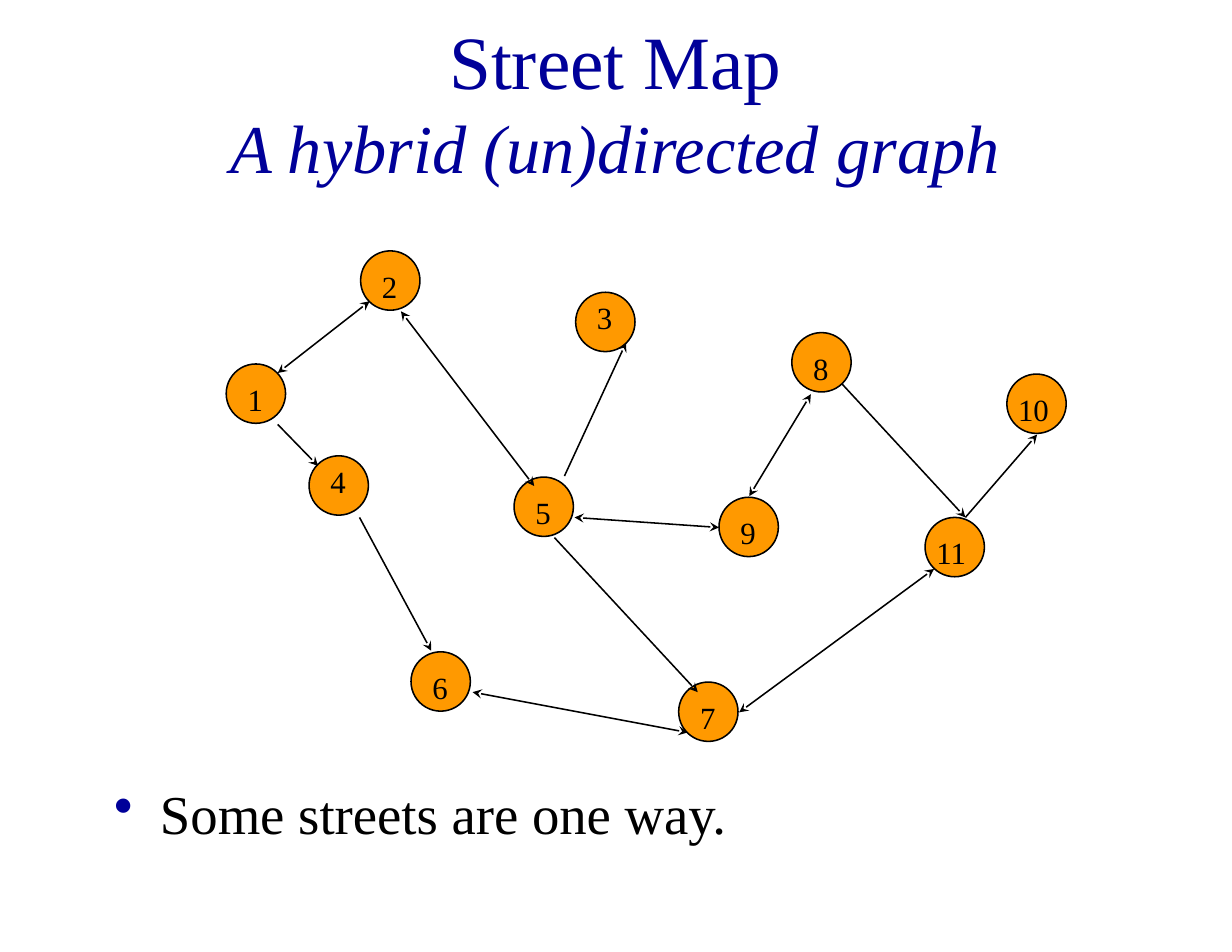
from lxml import etree
from pptx import Presentation
from pptx.dml.color import RGBColor
from pptx.enum.shapes import MSO_CONNECTOR, MSO_SHAPE
from pptx.enum.text import MSO_ANCHOR, PP_ALIGN
from pptx.oxml.ns import qn
from pptx.util import Inches, Pt

LINE, OVAL = MSO_CONNECTOR.STRAIGHT, MSO_SHAPE.OVAL
MIDDLE, CENTER = MSO_ANCHOR.MIDDLE, PP_ALIGN.CENTER
NAVY = RGBColor(0x00, 0x00, 0x99)
BLACK = RGBColor(0x00, 0x00, 0x00)
ORANGE = RGBColor(0xFF, 0x99, 0x00)
FONT = "Times New Roman"

# Content
TITLE = "Street Map"
SUB = "A hybrid (un)directed graph"
POINT = "Some streets are one way."

# Node: left, top of its circle
NODES = {
    1: (2.02, 3.25), 2: (3.22, 2.24), 3: (5.14, 2.61), 4: (2.76, 4.07),
    5: (4.59, 4.26), 6: (3.67, 5.82), 7: (6.06, 6.09), 8: (7.07, 2.97),
    9: (6.42, 4.44), 10: (8.99, 3.34), 11: (8.26, 4.62),
}
HIGH = (3, 4)  # nodes whose number sits higher
SIZE = 0.53

# Streets: start, end
ONE_WAY = [
    ((2.48, 3.79), (2.84, 4.16)),  # 1 to 4
    ((3.21, 4.62), (3.85, 5.81)),  # 4 to 6
    ((5.04, 4.25), (5.59, 3.06)),  # 5 to 3
    ((4.95, 4.80), (6.23, 6.18)),  # 5 to 7
    ((7.52, 3.43), (8.62, 4.62)),  # 8 to 11
    ((8.62, 4.62), (9.26, 3.88)),  # 11 to 10
]
TWO_WAY = [
    ((3.30, 2.69), (2.48, 3.33)),  # 2 and 1
    ((3.58, 2.78), (4.77, 4.34)),  # 2 and 5
    ((4.22, 6.18), (6.14, 6.54)),  # 6 and 7
    ((7.24, 3.52), (6.69, 4.43)),  # 8 and 9
    ((5.13, 4.62), (6.42, 4.71)),  # 5 and 9
    ((6.60, 6.36), (8.34, 5.08)),  # 7 and 11
]

deck = Presentation()
deck.slide_width, deck.slide_height = Inches(11), Inches(8.5)
slide = deck.slides.add_slide(deck.slide_layouts[6])
shapes = slide.shapes


def add_box(left, top, width, height, pad=(0.1, 0.05)):
    box = shapes.add_textbox(*map(Inches, (left, top, width, height)))
    frame = box.text_frame
    across, down = map(Inches, pad)
    look = dict(word_wrap=True, margin_left=across, margin_right=across,
                margin_top=down, margin_bottom=down)
    for key, value in look.items():
        setattr(frame, key, value)
    return frame


def add_run(para, text, size, color=BLACK, **more):
    run = para.add_run()
    run.text = text
    run.font.color.rgb = color
    for key, value in dict(name=FONT, size=Pt(size), **more).items():
        setattr(run.font, key, value)


def add_street(start, end, ends):
    line = shapes.add_connector(LINE, *map(Inches, start + end))
    line.line.color.rgb = BLACK
    line.line.width = Pt(1)
    for tag in ends:
        etree.SubElement(line.line._get_or_add_ln(), qn(tag), type="stealth")
    etree.SubElement(line._element.spPr, qn("a:effectLst"))


# Title
frame = add_box(0.82, 0.19, 9.35, 1.42)
frame.vertical_anchor = MIDDLE
para = frame.paragraphs[0]
para.alignment = CENTER
add_run(para, TITLE, 48.4, NAVY)
para.add_line_break()
add_run(para, SUB, 44, NAVY, italic=True)

# Bullet point
para = add_box(0.92, 6.91, 9.35, 1.38).paragraphs[0]
para.space_before = Pt(7)
add_run(para, POINT, 35.2)
props = para._p.get_or_add_pPr()
props.set("marL", str(Inches(0.41)))
props.set("indent", str(-Inches(0.41)))
tint = etree.SubElement(props, qn("a:buClr"))
etree.SubElement(tint, qn("a:srgbClr"), val=str(NAVY))
etree.SubElement(props, qn("a:buChar"), char="•")

# Circles
for left, top in NODES.values():
    dot = shapes.add_shape(OVAL, *map(Inches, (left, top, SIZE, SIZE)))
    dot.shadow.inherit = False
    dot.fill.solid()
    dot.fill.fore_color.rgb = ORANGE
    dot.line.color.rgb = BLACK
    dot.line.width = Pt(1)

# Streets
for start, end in ONE_WAY:
    add_street(start, end, ["a:tailEnd"])
for start, end in TWO_WAY:
    add_street(start, end, ["a:headEnd", "a:tailEnd"])

# Numbers
for num, (left, top) in NODES.items():
    right, wide = (0.08, 0.28) if num < 10 else (-0.01, 0.55)
    down = 0 if num in HIGH else 0.09
    frame = add_box(left + right, top + down, wide, 0.44, (0.11, 0.06))
    add_run(frame.paragraphs[0], str(num), 19.8)

deck.save("out.pptx")
